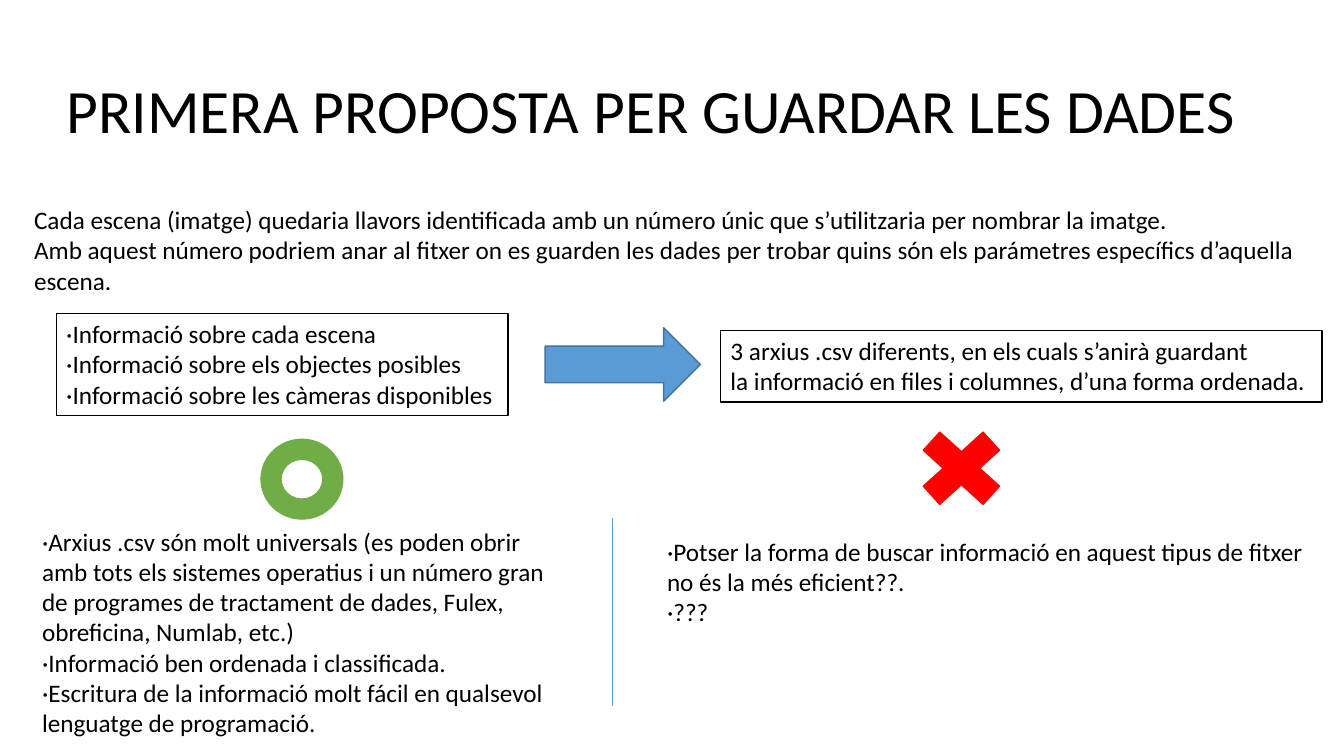
from lxml import etree
from pptx import Presentation
from pptx.dml.color import RGBColor
from pptx.enum.shapes import MSO_CONNECTOR, MSO_SHAPE
from pptx.enum.text import MSO_ANCHOR, PP_ALIGN
from pptx.oxml.ns import qn
from pptx.util import Cm, Pt

LEFT = PP_ALIGN.LEFT
MIDDLE = MSO_ANCHOR.MIDDLE
STRAIGHT = MSO_CONNECTOR.STRAIGHT
ARROW = MSO_SHAPE.RIGHT_ARROW
DONUT = MSO_SHAPE.DONUT
CROSS = MSO_SHAPE.MATH_MULTIPLY

BLACK = RGBColor(0x00, 0x00, 0x00)
WHITE = RGBColor(0xFF, 0xFF, 0xFF)
BLUE = RGBColor(0x5B, 0x9B, 0xD5)
DARK_BLUE = RGBColor(0x43, 0x73, 0x9E)
GREEN = RGBColor(0x70, 0xAD, 0x47)
RED = RGBColor(0xFF, 0x00, 0x00)
FONT = "Calibri"

TITLE = "PRIMERA PROPOSTA PER GUARDAR LES DADES"
TITLE_BOX = (1.42, 1.02, 30.45, 3.68)

INTRO = [
    "Cada escena (imatge) quedaria llavors identificada amb un número únic que s’utilitzaria per nombrar la imatge.",
    "Amb aquest número podriem anar al fitxer on es guarden les dades per trobar quins són els parámetres específics d’aquella",
    "escena.",
]
INFORMATION = [
    "·Informació sobre cada escena",
    "·Informació sobre els objectes posibles",
    "·Informació sobre les càmeras disponibles",
]
FILES = [
    "3 arxius .csv diferents, en els cuals s’anirà guardant",
    "la informació en files i columnes, d’una forma ordenada.",
]
ADVANTAGES = [
    "·Arxius .csv són molt universals (es poden obrir amb tots els sistemes operatius i un número gran "
    "de programes de tractament de dades, Fulex, obreficina, Numlab, etc.)",
    "·Informació ben ordenada i classificada.",
    "·Escritura de la informació molt fácil en qualsevol lenguatge de programació.",
]
DRAWBACKS = [
    "·Potser la forma de buscar informació en aquest tipus de fitxer",
    "no és la més eficient??.",
    "·???",
]

TEXTS = [
    (INTRO, (0.61, 5.03, 32.82, 3.33), False),
    (INFORMATION, (1.42, 7.9, 11.38, 2.57), True),
    (FILES, (18.16, 8.33, 15.16, 1.8), True),
    (DRAWBACKS, (16.56, 13.39, 16.87, 2.57), False),
    (ADVANTAGES, (0.81, 13.13, 13.61, 5.64), False),
]
SYMBOLS = [
    (ARROW, (13.74, 8.26, 3.91, 1.85), BLUE, DARK_BLUE),
    (DONUT, (6.58, 11.07, 2.06, 2.01), GREEN, GREEN),
    (CROSS, (22.78, 10.49, 2.9, 2.62), RED, RED),
]
DIVIDER = (15.42, 13.06, 15.42, 17.78)


def lengths(values):
    return [Cm(value) for value in values]


def paint(shape, fill_color, line_color):
    shape.fill.solid()
    shape.fill.fore_color.rgb = fill_color
    shape.line.color.rgb = line_color
    shape.line.width = Pt(1)


def format_paragraph(paragraph, size):
    paragraph.alignment = LEFT
    paragraph.font.name = FONT
    paragraph.font.size = Pt(size)
    paragraph.font.color.rgb = BLACK


def add_text(slide, lines, box, framed):
    shape = slide.shapes.add_textbox(*lengths(box))
    if framed:
        paint(shape, WHITE, BLACK)
    frame = shape.text_frame
    frame.word_wrap = True
    frame.text = "\n".join(lines)
    for paragraph in frame.paragraphs:
        format_paragraph(paragraph, 18)


presentation = Presentation()
presentation.slide_width = Cm(33.87)
presentation.slide_height = Cm(19.05)
slide = presentation.slides.add_slide(presentation.slide_layouts[5])

title = slide.shapes.title
title.left, title.top, title.width, title.height = lengths(TITLE_BOX)
title.text_frame.text = TITLE
title.text_frame.vertical_anchor = MIDDLE
title_paragraph = title.text_frame.paragraphs[0]
title_paragraph.line_spacing = 0.9
format_paragraph(title_paragraph, 44)

for lines, box, framed in TEXTS:
    add_text(slide, lines, box, framed)

for kind, box, fill_color, line_color in SYMBOLS:
    symbol = slide.shapes.add_shape(kind, *lengths(box))
    symbol.shadow.inherit = False
    paint(symbol, fill_color, line_color)

divider = slide.shapes.add_connector(STRAIGHT, *lengths(DIVIDER))
divider.line.color.rgb = BLUE
divider.line.width = Pt(0.5)
etree.SubElement(divider._element.spPr, qn("a:effectLst"))

presentation.save("out.pptx")
